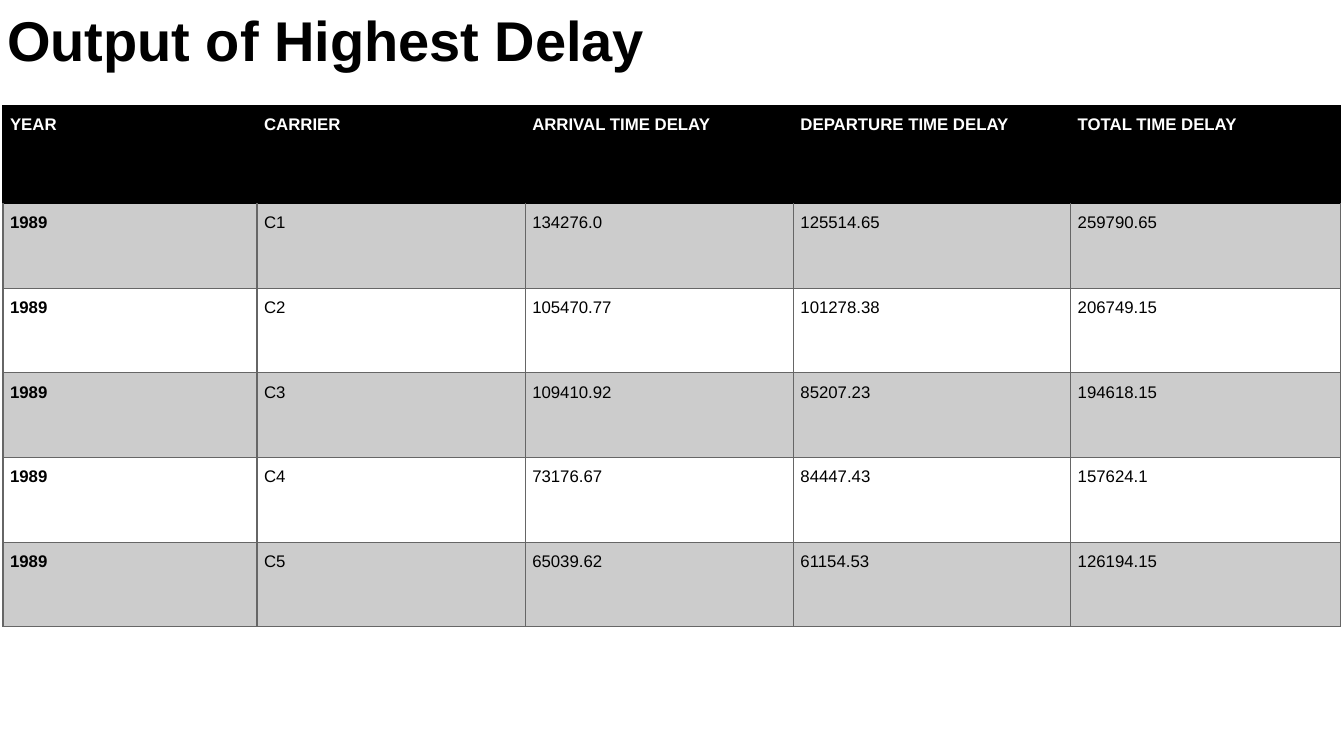
import lxml.etree
import pptx
import pptx.dml.color
import pptx.enum.text
import pptx.oxml.ns
import pptx.util

# Content
TITLE = "Output of Highest Delay"
HEADER = ("YEAR", "CARRIER", "ARRIVAL TIME DELAY", "DEPARTURE TIME DELAY", "TOTAL TIME DELAY")
DELAYS = [
    ("1989", "C1", "134276.0", "125514.65", "259790.65"),
    ("1989", "C2", "105470.77", "101278.38", "206749.15"),
    ("1989", "C3", "109410.92", "85207.23", "194618.15"),
    ("1989", "C4", "73176.67", "84447.43", "157624.1"),
    ("1989", "C5", "65039.62", "61154.53", "126194.15"),
]

# Style and grid, in inches
COLORS = {"black": "000000", "white": "FFFFFF", "band": "CCCCCC", "rule": "666666"}
FONT = "Arial"
SLIDE_WIDTH, SLIDE_HEIGHT = 13.33, 7.5
TITLE_BOX = (0.02, -1.23, 9.4, 2)
TABLE_LEFT, TABLE_TOP = 0.03, 1.05
COLUMN_WIDTHS = (2.52, 2.66, 2.66, 2.75, 2.68)
ROW_HEIGHTS = [0.97] + [0.84] * len(DELAYS)
TITLE_INSET, CELL_INSET = 0.05, 0.07


def inches(value):
    return pptx.util.Inches(value)


def add_run(paragraph, text, size, color, bold):
    run = paragraph.add_run()
    run.text = text
    run.font.name = FONT
    run.font.size = pptx.util.Pt(size)
    run.font.bold = bold
    run.font.color.rgb = pptx.dml.color.RGBColor.from_string(COLORS[color])


def set_insets(target, inset):
    target.margin_left = target.margin_right = inches(inset)
    target.margin_top = target.margin_bottom = inches(inset)


def add_borders(cell, side_colors):
    properties = cell._tc.get_or_add_tcPr()
    for side, color in side_colors.items():
        line = lxml.etree.SubElement(properties, pptx.oxml.ns.qn(f"a:ln{side}"), w="12700")
        fill = lxml.etree.SubElement(line, pptx.oxml.ns.qn("a:solidFill"))
        lxml.etree.SubElement(fill, pptx.oxml.ns.qn("a:srgbClr"), val=COLORS[color])


def add_title(slide):
    title = slide.shapes.title
    title.left, title.top, title.width, title.height = map(inches, TITLE_BOX)
    frame = title.text_frame
    frame.word_wrap = True
    frame.auto_size = pptx.enum.text.MSO_AUTO_SIZE.NONE
    frame.vertical_anchor = pptx.enum.text.MSO_ANCHOR.BOTTOM
    set_insets(frame, TITLE_INSET)
    paragraph = frame.paragraphs[0]
    paragraph.alignment = pptx.enum.text.PP_ALIGN.LEFT
    add_run(paragraph, TITLE, 40, "black", True)


def format_cell(cell, text, row, column):
    is_header = row == 0
    rule = "black" if is_header else "rule"
    sides = dict.fromkeys("LRTB", rule)
    if row == 1:
        sides["T"] = "black"
    add_borders(cell, sides)  # borders come before the fill in the cell's XML

    if is_header or row % 2:
        cell.fill.solid()
        fill_color = COLORS["black" if is_header else "band"]
        cell.fill.fore_color.rgb = pptx.dml.color.RGBColor.from_string(fill_color)
    else:
        cell.fill.background()

    set_insets(cell, CELL_INSET)
    cell.vertical_anchor = pptx.enum.text.MSO_ANCHOR.TOP
    paragraph = cell.text_frame.paragraphs[0]
    paragraph.line_spacing = 1.15
    add_run(paragraph, text, 12, "white" if is_header else "black", is_header or column == 0)


def add_delay_table(slide):
    rows = [HEADER] + DELAYS
    table = slide.shapes.add_table(
        len(rows), len(HEADER), inches(TABLE_LEFT), inches(TABLE_TOP),
        inches(sum(COLUMN_WIDTHS)), inches(sum(ROW_HEIGHTS)),
    ).table
    for table_column, width in zip(table.columns, COLUMN_WIDTHS):
        table_column.width = inches(width)
    for table_row, height in zip(table.rows, ROW_HEIGHTS):
        table_row.height = inches(height)
    for row, values in enumerate(rows):
        for column, text in enumerate(values):
            format_cell(table.cell(row, column), text, row, column)


def main():
    presentation = pptx.Presentation()
    presentation.slide_width = inches(SLIDE_WIDTH)
    presentation.slide_height = inches(SLIDE_HEIGHT)
    title_only = presentation.slide_layouts[5]
    slide = presentation.slides.add_slide(title_only)
    add_title(slide)
    add_delay_table(slide)
    presentation.save("out.pptx")


if __name__ == "__main__":
    main()
